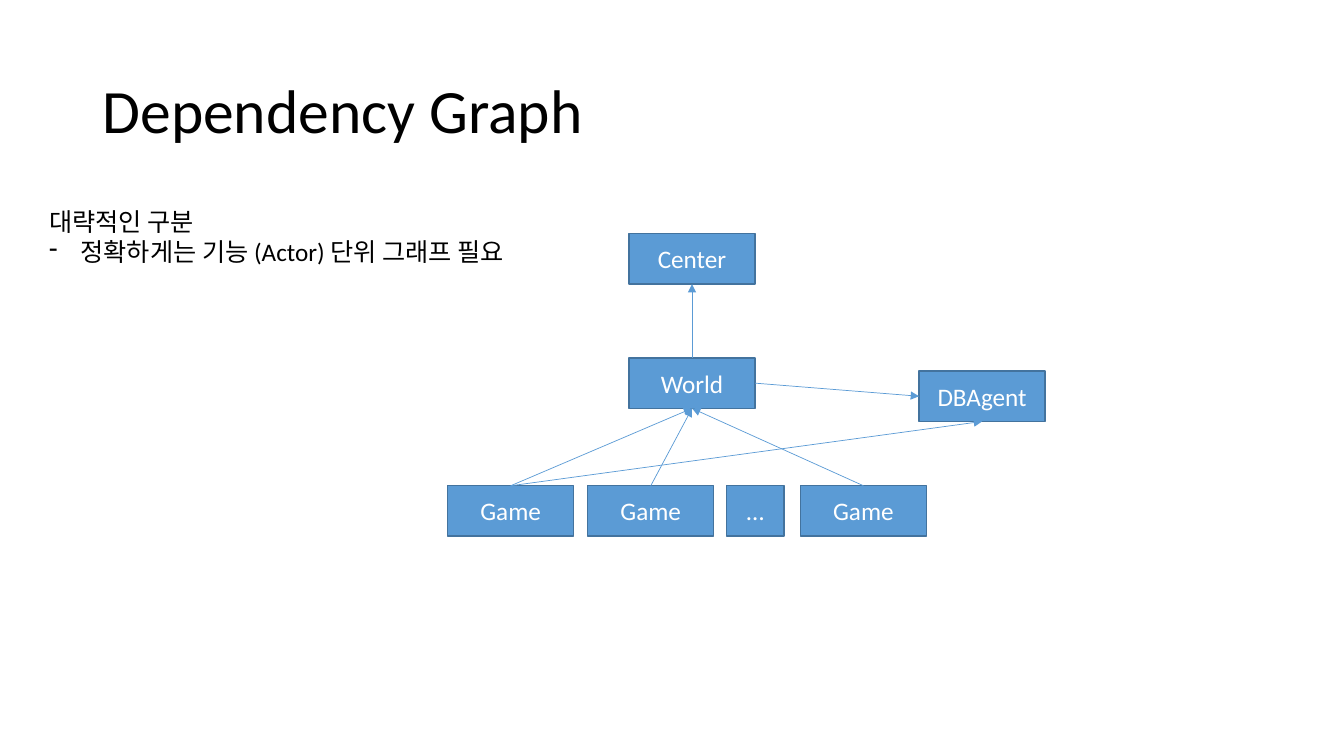
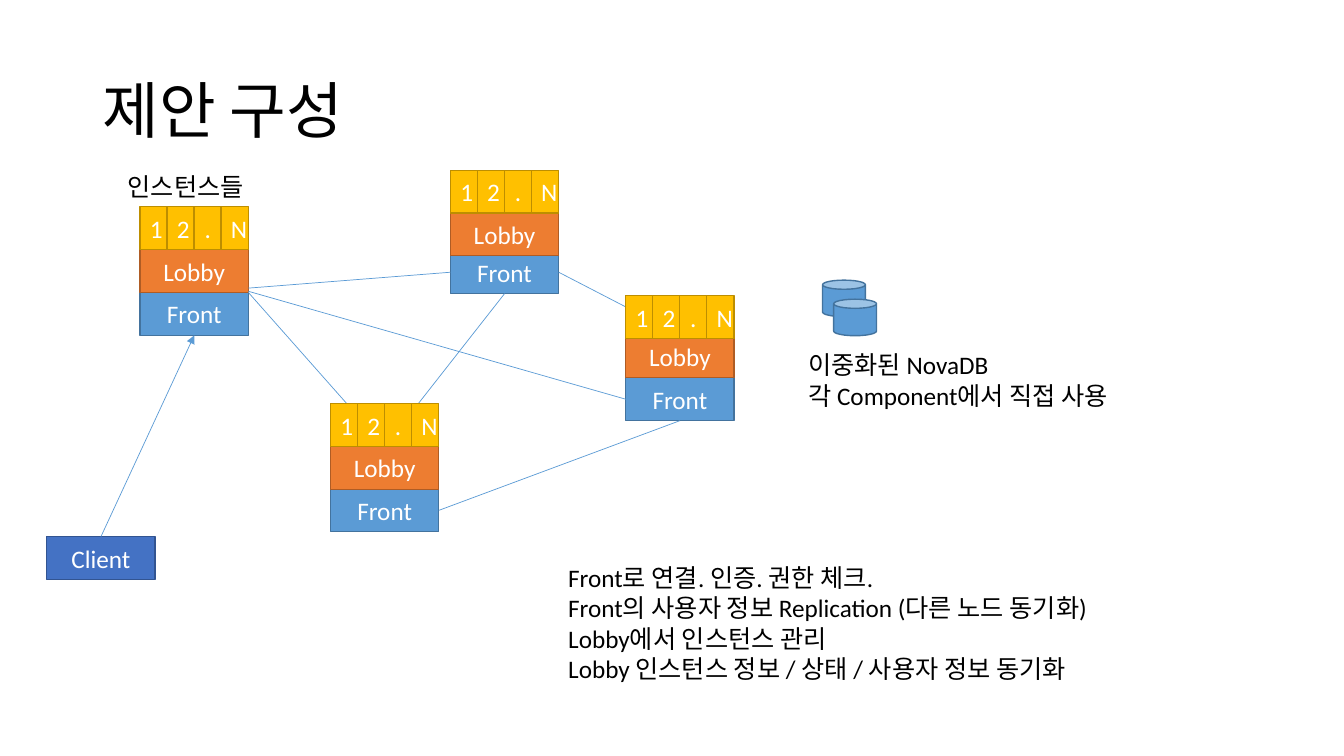
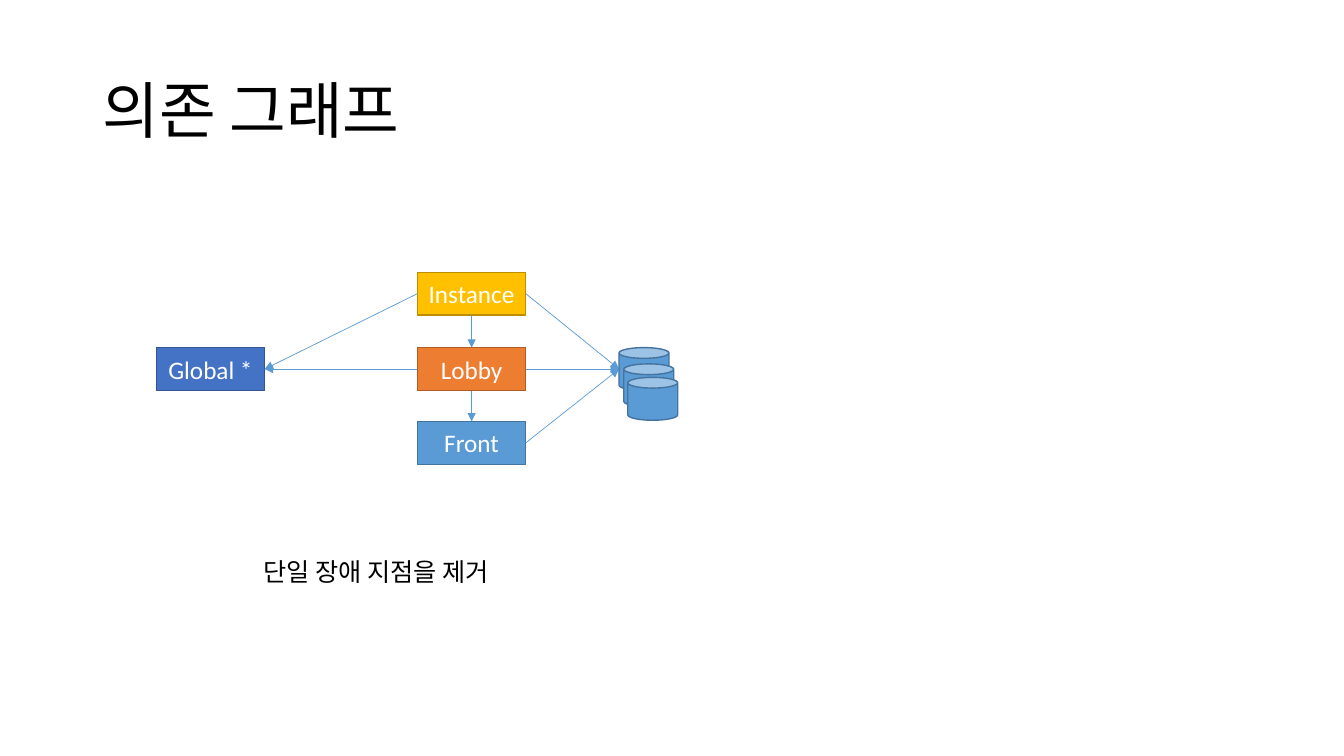
"""Build three slides of server dependency diagrams."""
from dataclasses import dataclass

from pptx import Presentation
from pptx.dml.color import RGBColor
from pptx.enum.shapes import MSO_CONNECTOR, MSO_SHAPE
from pptx.enum.text import MSO_ANCHOR, MSO_AUTO_SIZE, PP_ALIGN
from pptx.oxml.ns import qn
from pptx.oxml.xmlchemy import OxmlElement
from pptx.util import Cm, Pt


@dataclass(frozen=True)
class Theme:
    """Colours, type sizes and line widths of the deck."""
    font: str = "Calibri"
    title_size: int = 44
    body_size: int = 18
    text: str = "000000"
    box_text: str = "FFFFFF"
    link: str = "5B9BD5"
    link_width: float = 0.5
    box_border: float = 1
    blue: tuple = ("5B9BD5", "43739E")
    orange: tuple = ("ED7D31", "AF5C24")
    gold: tuple = ("FFC000", "BD8E00")
    navy: tuple = ("4472C4", "325491")


THEME = Theme()
TOP, LEFT, BOTTOM, RIGHT = range(4)
SERVER = (3.18, 1.27)
DOTS = (1.45, 1.27)
PART = (2.73, 1.08)
INSTANCE = (0.69, 1.08)
INSTANCE_PITCH = 0.68
GAME_TOP = 12.24
PART_LEFT = 10.52
PART_TOPS = (6.86, 8.76, 10.62)
DB_ENTRY = (15.6, 9.3)

STACKS = {
    "west": (3.53, 5.21, 6.29, 7.37),
    "south": (8.33, 10.17, 11.25, 12.32),
    "east": (15.77, 7.45, 8.44, 9.52),
    "north": (11.35, 4.29, 5.36, 6.32),
}
STACK_PARTS = [
    part
    for name, (x, _, lobby_top, front_top) in STACKS.items()
    for part in (
        (f"{name} front", "Front", THEME.blue, x, front_top, PART),
        (f"{name} lobby", "Lobby", THEME.orange, x, lobby_top, PART),
    )
]
STACK_INSTANCES = [
    (f"{name} {label}", label, THEME.gold, x + i * INSTANCE_PITCH, top, INSTANCE)
    for name, (x, top, _, _) in STACKS.items()
    for i, label in enumerate("12.N")
]

SLIDES = [
    {
        "title": "Dependency Graph",
        "boxes": [
            ("center", "Center", THEME.blue, 15.85, 5.89, SERVER),
            ("world", "World", THEME.blue, 15.85, 9.02, SERVER),
            ("game 1", "Game", THEME.blue, 11.28, GAME_TOP, SERVER),
            ("game 2", "Game", THEME.blue, 14.81, GAME_TOP, SERVER),
            ("game n", "Game", THEME.blue, 20.17, GAME_TOP, SERVER),
            ("more games", "…", THEME.blue, 18.31, GAME_TOP, DOTS),
            ("db agent", "DBAgent", THEME.blue, 23.16, 9.35, SERVER),
        ],
        "links": [
            (("world", TOP), ("center", BOTTOM), True),
            (("game 1", TOP), ("world", BOTTOM), True),
            (("game 2", TOP), ("world", BOTTOM), True),
            (("game n", TOP), ("world", BOTTOM), True),
            (("world", RIGHT), ("db agent", LEFT), True),
            (("game 1", TOP), ("db agent", BOTTOM), True),
        ],
        "notes": [
            ((0.99, 5.08, 12.83, 1.8), False,
             ["대략적인 구분", "- 정확하게는 기능 (Actor) 단위 그래프 필요"]),
        ],
    },
    {
        "title": "제안 구성",
        "boxes": STACK_PARTS + [("client", "Client", THEME.navy, 1.18, 13.52, PART)],
        "links": [
            ((6.26, 7.37), ("south lobby", TOP), False),
            ((6.26, 7.26), ("north front", LEFT), False),
            (("north front", RIGHT), ("east lobby", TOP), False),
            (("south front", RIGHT), ("east front", BOTTOM), False),
            ((6.26, 7.34), ("east front", LEFT), False),
            (("north front", BOTTOM), ("south lobby", TOP), False),
            (("client", TOP), ("west front", BOTTOM), True),
        ],
        "top_boxes": STACK_INSTANCES,
        "databases": [(20.73, 7.06, 1.08, 0.92), (21.01, 7.54, 1.08, 0.92)],
        "notes": [
            ((2.97, 4.19, 3.86, 1.03), True, ["인스턴스들"]),
            ((20.12, 8.69, 8.51, 1.8), False,
             ["이중화된 NovaDB", "각 Component에서 직접 사용"]),
            ((14.07, 14.05, 14.4, 3.33), False,
             ["Front로 연결. 인증. 권한 체크.",
              "Front의 사용자 정보 Replication (다른 노드 동기화)",
              "Lobby에서 인스턴스 관리",
              "Lobby 인스턴스 정보 / 상태 / 사용자 정보 동기화"]),
        ],
    },
    {
        "title": "의존 그래프",
        "boxes": [
            ("instance", "Instance", THEME.gold, PART_LEFT, PART_TOPS[0], PART),
            ("lobby", "Lobby", THEME.orange, PART_LEFT, PART_TOPS[1], PART),
            ("front", "Front", THEME.blue, PART_LEFT, PART_TOPS[2], PART),
            ("global", "Global *", THEME.navy, 3.94, PART_TOPS[1], PART),
        ],
        "links": [
            (("lobby", BOTTOM), ("front", TOP), True),
            (("instance", BOTTOM), ("lobby", TOP), True),
            (("instance", RIGHT), DB_ENTRY, True),
            (("lobby", RIGHT), DB_ENTRY, True),
            (("front", RIGHT), DB_ENTRY, True),
            (("instance", LEFT), ("global", RIGHT), True),
            (("lobby", LEFT), ("global", RIGHT), True),
        ],
        "databases": [
            (15.6, 8.76, 1.26, 1.08),
            (15.72, 9.17, 1.26, 1.08),
            (15.82, 9.51, 1.26, 1.08),
        ],
        "notes": [((6.38, 13.89, 6.88, 1.03), False, ["단일 장애 지점을 제거"])],
    },
]


def style_text(paragraph, size, colour):
    paragraph.font.name = THEME.font
    paragraph.font.size = Pt(size)
    paragraph.font.color.rgb = RGBColor.from_string(colour)


def add_title(slide, text):
    title = slide.shapes.title
    title.left, title.top, title.width, title.height = map(Cm, (2.33, 1.01, 29.21, 3.68))
    frame = title.text_frame
    frame.text = text
    frame.auto_size = MSO_AUTO_SIZE.NONE
    frame.vertical_anchor = MSO_ANCHOR.MIDDLE
    heading = frame.paragraphs[0]
    heading.alignment = PP_ALIGN.LEFT
    heading.line_spacing = 0.9
    style_text(heading, THEME.title_size, THEME.text)


def add_solid(slide, preset, area, colours):
    solid = slide.shapes.add_shape(preset, *map(Cm, area))
    fill, border = map(RGBColor.from_string, colours)
    solid.shadow.inherit = False
    solid.fill.solid()
    solid.fill.fore_color.rgb = fill
    solid.line.color.rgb = border
    solid.line.width = Pt(THEME.box_border)
    return solid


def add_boxes(slide, boxes):
    placed = {}
    for key, label, colours, x, y, size in boxes:
        box = add_solid(slide, MSO_SHAPE.RECTANGLE, (x, y, *size), colours)
        frame = box.text_frame
        frame.text = label
        frame.vertical_anchor = MSO_ANCHOR.MIDDLE
        frame.paragraphs[0].alignment = PP_ALIGN.CENTER
        style_text(frame.paragraphs[0], THEME.body_size, THEME.box_text)
        placed[key] = box
    return placed


def add_link(slide, placed, start, end, arrow):
    points = [(0, 0) if point[0] in placed else point for point in (start, end)]
    link = slide.shapes.add_connector(
        MSO_CONNECTOR.STRAIGHT, *(Cm(value) for point in points for value in point))
    if start[0] in placed:
        link.begin_connect(placed[start[0]], start[1])
    if end[0] in placed:
        link.end_connect(placed[end[0]], end[1])
    link.line.color.rgb = RGBColor.from_string(THEME.link)
    link.line.width = Pt(THEME.link_width)
    properties = link.element.spPr
    if arrow:
        head = OxmlElement("a:tailEnd")
        head.set("type", "triangle")
        properties.find(qn("a:ln")).append(head)
    properties.append(OxmlElement("a:effectLst"))


def add_dash(paragraph):
    properties = paragraph._p.get_or_add_pPr()
    properties.set("marL", str(Cm(0.79)))
    properties.set("indent", str(-Cm(0.79)))
    dash = OxmlElement("a:buChar")
    dash.set("char", "-")
    properties.insert_element_before(dash, "a:tabLst", "a:defRPr", "a:extLst")


def add_note(slide, area, wrap, lines):
    frame = slide.shapes.add_textbox(*map(Cm, area)).text_frame
    frame.word_wrap = wrap
    frame.auto_size = MSO_AUTO_SIZE.SHAPE_TO_FIT_TEXT
    for i, line in enumerate(lines):
        paragraph = frame.add_paragraph() if i else frame.paragraphs[0]
        paragraph.text = line.removeprefix("- ")
        style_text(paragraph, THEME.body_size, THEME.text)
        if line.startswith("- "):
            add_dash(paragraph)


def build_slide(deck, content):
    slide = deck.slides.add_slide(deck.slide_layouts.get_by_name("Title Only"))
    add_title(slide, content["title"])
    placed = add_boxes(slide, content["boxes"])
    for start, end, arrow in content["links"]:
        add_link(slide, placed, start, end, arrow)
    add_boxes(slide, content.get("top_boxes", []))
    for area in content.get("databases", []):
        add_solid(slide, MSO_SHAPE.CAN, area, THEME.blue)
    for area, wrap, lines in content["notes"]:
        add_note(slide, area, wrap, lines)


def main():
    deck = Presentation()
    deck.slide_width, deck.slide_height = Cm(33.87), Cm(19.05)
    for content in SLIDES:
        build_slide(deck, content)
    deck.save("out.pptx")


if __name__ == "__main__":
    main()
